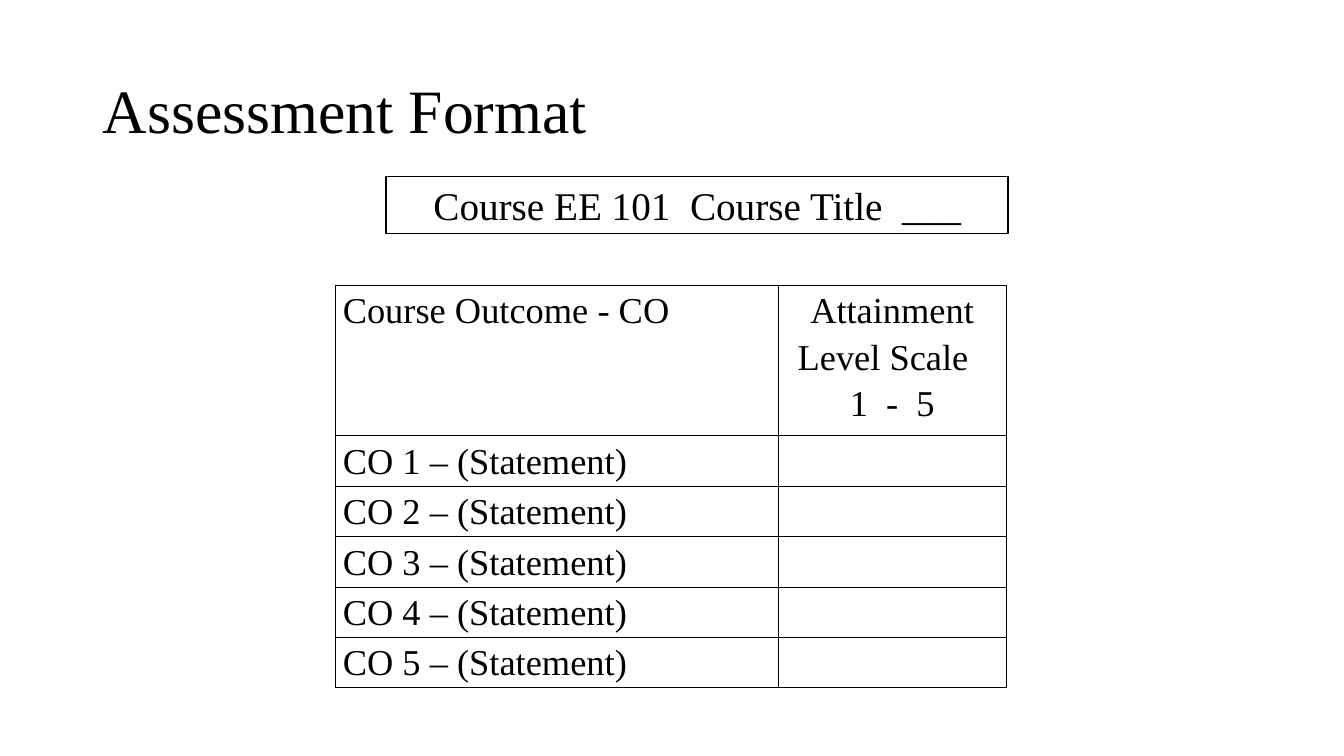
from lxml.etree import SubElement
from pptx import Presentation
from pptx.dml.color import RGBColor
from pptx.enum.shapes import MSO_SHAPE
from pptx.enum.text import MSO_ANCHOR, PP_ALIGN
from pptx.oxml.ns import qn
from pptx.util import Inches, Pt

TITLE = "Assessment Format"
COURSE = "Course EE 101  Course Title  ___"
HEAD = [["Course Outcome - CO"], ["Attainment Level Scale  ", "1  -  5"]]
ROWS = [HEAD] + [[[f"CO {n} – (Statement)"], []] for n in range(1, 6)]
WIDTHS = [4.39, 2.26]
HEAD_H, ROW_H = 1.49, 0.5
ALIGNS = [PP_ALIGN.LEFT, PP_ALIGN.CENTER]
COLORS = {"ink": "000000", "paper": "FFFFFF"}
FONT = "Times New Roman"


def color(name):
    return RGBColor.from_string(COLORS[name])


def write(frame, lines, size, align, spacing):
    for i, line in enumerate(lines):
        para = frame.paragraphs[0] if i == 0 else frame.add_paragraph()
        para.alignment = align
        para.line_spacing = spacing
        run = para.add_run()
        run.text = line
        run.font.name = FONT
        run.font.size = Pt(size)
        run.font.color.rgb = color("ink")


def border(cell):
    """Draw a 1 pt line on all four sides of a cell."""
    props = cell._tc.get_or_add_tcPr()
    for side in ("a:lnL", "a:lnR", "a:lnT", "a:lnB"):
        line = SubElement(props, qn(side), w=str(Pt(1)))
        fill = SubElement(line, qn("a:solidFill"))
        SubElement(fill, qn("a:srgbClr"), val=COLORS["ink"])


def add_title(slide):
    box = slide.shapes.add_textbox(Inches(0.92), Inches(0.4), Inches(11.5), Inches(1.45))
    frame = box.text_frame
    frame.word_wrap = True
    frame.vertical_anchor = MSO_ANCHOR.MIDDLE
    write(frame, [TITLE], 44, PP_ALIGN.LEFT, 0.9)


def add_course(slide):
    box = slide.shapes.add_shape(
        MSO_SHAPE.RECTANGLE, Inches(3.83), Inches(1.75), Inches(6.17), Inches(0.57))
    box.shadow.inherit = False
    box.fill.solid()
    box.fill.fore_color.rgb = color("paper")
    box.line.color.rgb = color("ink")
    box.line.width = Pt(1)
    box.text_frame.vertical_anchor = MSO_ANCHOR.TOP
    write(box.text_frame, [COURSE], 28, PP_ALIGN.CENTER, 1.0)


def add_outcomes(slide):
    heights = [HEAD_H] + [ROW_H] * (len(ROWS) - 1)
    table = slide.shapes.add_table(
        len(ROWS), len(WIDTHS), Inches(3.33), Inches(2.83),
        Inches(sum(WIDTHS)), Inches(sum(heights))).table
    table.first_row = table.horz_banding = False
    for col, width in zip(table.columns, WIDTHS):
        col.width = Inches(width)
    for r, (row, height) in enumerate(zip(ROWS, heights)):
        table.rows[r].height = Inches(height)
        for c, lines in enumerate(row):
            cell = table.cell(r, c)
            cell.margin_left = cell.margin_right = Inches(0.07)
            cell.margin_top = cell.margin_bottom = 0
            border(cell)
            cell.fill.background()
            write(cell.text_frame, lines, 26, ALIGNS[c], 1.15)


def main():
    deck = Presentation()
    deck.slide_width, deck.slide_height = Inches(13.33), Inches(7.5)
    slide = deck.slides.add_slide(deck.slide_layouts[6])
    slide.background.fill.solid()
    slide.background.fill.fore_color.rgb = color("paper")
    add_title(slide)
    add_course(slide)
    add_outcomes(slide)
    deck.save("out.pptx")


if __name__ == "__main__":
    main()
